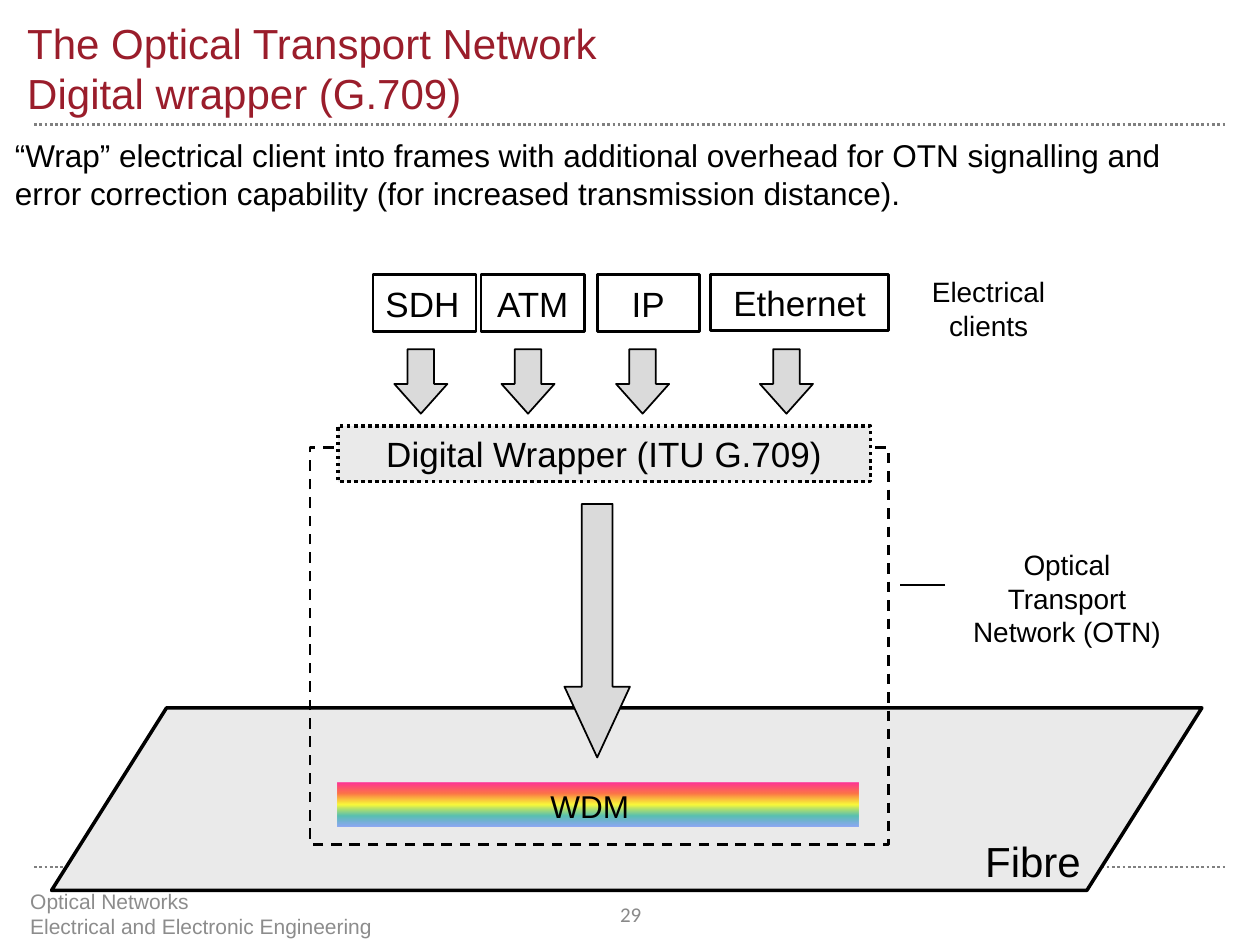
"""Build the Optical Transport Network digital wrapper slide."""
from lxml import etree
from pptx import Presentation
from pptx.dml.color import RGBColor
from pptx.enum.dml import MSO_LINE
from pptx.enum.shapes import MSO_CONNECTOR, MSO_SHAPE
from pptx.enum.text import MSO_ANCHOR, PP_ALIGN
from pptx.oxml.ns import qn
from pptx.util import Cm, Pt

RECT, ARROW = MSO_SHAPE.RECTANGLE, MSO_SHAPE.DOWN_ARROW
PARALLELOGRAM = MSO_SHAPE.PARALLELOGRAM
DOTS, DASH = MSO_LINE.ROUND_DOT, MSO_LINE.DASH
LEFT, CENTER = PP_ALIGN.LEFT, PP_ALIGN.CENTER
TOP, MIDDLE, BOTTOM = MSO_ANCHOR.TOP, MSO_ANCHOR.MIDDLE, MSO_ANCHOR.BOTTOM
STRAIGHT = MSO_CONNECTOR.STRAIGHT

BLACK = RGBColor(0x00, 0x00, 0x00)
RED = RGBColor(0x9A, 0x1D, 0x2B)
RULE_GRAY = RGBColor(0x80, 0x80, 0x80)
FOOTER_GRAY = RGBColor(0x8C, 0x8C, 0x8C)
NUMBER_GRAY = RGBColor(0x89, 0x89, 0x89)
PALE_GRAY = RGBColor(0xEA, 0xEA, 0xEA)
ARROW_GRAY = RGBColor(0xDA, 0xDA, 0xDA)
SPECTRUM = [
    (0, "FF3399", 100),
    (25, "FF6633", 88),
    (50, "FFFF00", 75),
    (75, "01A78F", 62),
    (100, "3366FF", 50),
]

prs = Presentation()
prs.slide_width, prs.slide_height = Cm(25.4), Cm(19.05)
s = prs.slides.add_slide(prs.slide_layouts[6])


def write(sp, text, size, color=BLACK, align=CENTER, anchor=TOP, font="Arial", wrap=True):
    tf = sp.text_frame
    tf.text = text
    tf.word_wrap = wrap
    tf.vertical_anchor = anchor
    p = tf.paragraphs[0]
    p.alignment = align
    for r in p.runs:
        r.font.name = font
        r.font.size = Pt(size)
        r.font.color.rgb = color


def add_shape(kind, box, fill=None, width=1.5, dash=None, adj=()):
    sp = s.shapes.add_shape(kind, *map(Cm, box))
    sp.shadow.inherit = False
    if fill is None:
        sp.fill.background()
    else:
        sp.fill.solid()
        sp.fill.fore_color.rgb = fill
    sp.line.color.rgb = BLACK
    sp.line.width = Pt(width)
    if dash:
        sp.line.dash_style = dash
    for i, value in enumerate(adj):
        sp.adjustments[i] = value
    return sp


for x1, x2, y, color, dash in [
    (0.69, 24.71, 2.51, RULE_GRAY, DOTS),
    (0.69, 24.71, 17.48, RULE_GRAY, DOTS),
    (19.05, 18.14, 11.79, BLACK, None),
]:
    c = s.shapes.add_connector(STRAIGHT, Cm(x1), Cm(y), Cm(x2), Cm(y))
    c.line.color.rgb = color
    c.line.width = Pt(1.5)
    if dash:
        c.line.dash_style = dash
    etree.SubElement(c._element.spPr, qn("a:effectLst"))

add_shape(PARALLELOGRAM, (1.04, 14.27, 23.19, 3.68), PALE_GRAY, 2, adj=[0.63])

for name, x, w, h, arrow_x, align in [
    ("SDH", 7.52, 2.08, 1.14, 7.95, LEFT),
    ("ATM", 9.7, 2.08, 1.14, 10.11, CENTER),
    ("IP", 12.04, 2.06, 1.14, 12.42, CENTER),
    ("Ethernet", 14.33, 3.58, 1.12, 15.32, CENTER),
]:
    sp = add_shape(RECT, (x, 5.54, w, h))
    write(sp, name, 20, align=align, anchor=MIDDLE)
    add_shape(ARROW, (arrow_x, 7.04, 1.07, 1.3), ARROW_GRAY, 1, adj=[0.5, 0.56])

add_shape(ARROW, (11.38, 10.16, 1.32, 5.11), ARROW_GRAY, 1, adj=[0.47, 1.08])
add_shape(RECT, (6.25, 9.02, 11.66, 8), dash=DASH)

bar = add_shape(RECT, (6.81, 15.77, 10.49, 0.89))
bar.line.fill.background()
bar.fill.gradient()
grad = bar._element.spPr.find(qn("a:gradFill"))
for child in list(grad):
    grad.remove(child)
stops = etree.SubElement(grad, qn("a:gsLst"))
for pos, color, alpha in SPECTRUM:
    stop = etree.SubElement(stops, qn("a:gs"), pos=str(pos * 1000))
    clr = etree.SubElement(stop, qn("a:srgbClr"), val=color)
    etree.SubElement(clr, qn("a:alpha"), val=str(alpha * 1000))
etree.SubElement(grad, qn("a:lin"), ang="5400000", scaled="1")

wrapper = add_shape(RECT, (6.81, 8.59, 10.74, 1.12), PALE_GRAY, 2, DOTS)
write(wrapper, "Digital Wrapper (ITU G.709)", 20, anchor=MIDDLE)

for box, text, size, style in [
    ((0.3, 0, 24, 2.51), "The Optical Transport Network\vDigital wrapper (G.709)", 24,
     {"color": RED, "align": LEFT, "anchor": BOTTOM}),
    ((0.05, 2.62, 24.66, 1.8),
     "“Wrap” electrical client into frames with additional overhead for OTN signalling and "
     "error correction capability (for increased transmission distance).", 18,
     {"align": LEFT}),
    ((18.14, 5.41, 3.58, 1.63), "Electrical clients", 16, {}),
    ((19.15, 10.92, 4.72, 2.31), "Optical Transport Network (OTN)", 16, {}),
    ((10.62, 15.75, 2.54, 1.02), "WDM", 18, {}),
    ((19.61, 16.71, 2.46, 1.3), "Fibre", 24, {"align": LEFT, "wrap": False}),
    ((0.36, 17.91, 10.74, 1.02),
     "Optical Networks\vElectrical and Electronic Engineering", 12,
     {"color": FOOTER_GRAY, "align": LEFT, "anchor": MIDDLE}),
    ((11.71, 17.91, 2.01, 1.02), "29", 12,
     {"color": NUMBER_GRAY, "anchor": MIDDLE, "font": "Calibri"}),
]:
    write(s.shapes.add_textbox(*map(Cm, box)), text, size, **style)

prs.save("out.pptx")
